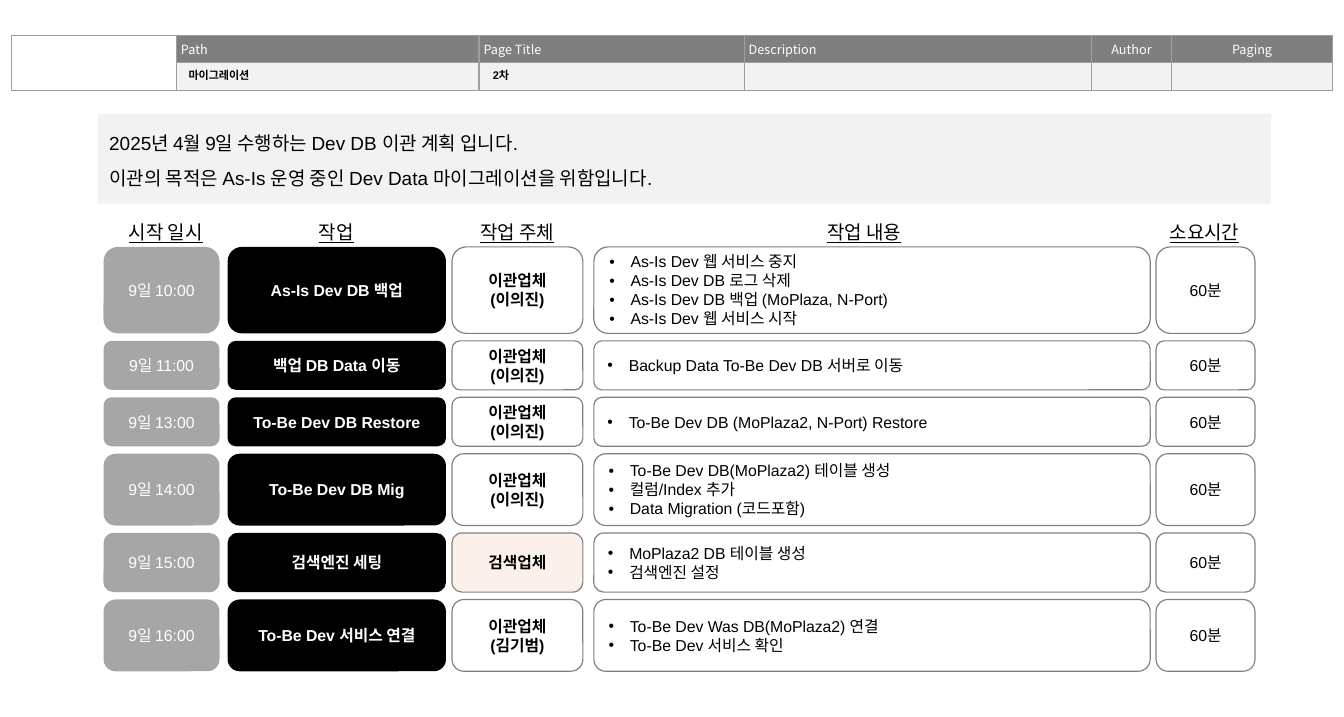
from dataclasses import dataclass

from lxml import etree
from pptx import Presentation
from pptx.dml.color import RGBColor
from pptx.enum.shapes import MSO_SHAPE
from pptx.enum.text import MSO_ANCHOR, MSO_AUTO_SIZE, PP_ALIGN
from pptx.oxml.ns import qn
from pptx.util import Pt

ROUNDED = MSO_SHAPE.ROUNDED_RECTANGLE
TOP, MIDDLE = MSO_ANCHOR.TOP, MSO_ANCHOR.MIDDLE
LEFT, CENTER = PP_ALIGN.LEFT, PP_ALIGN.CENTER
NO_AUTOFIT = MSO_AUTO_SIZE.NONE


@dataclass(frozen=True)
class Theme:
    font: str = "Arial"
    header_font: str = "Noto Sans CJK KR"
    black: str = "000000"
    white: str = "FFFFFF"
    header: str = "7F7F7F"
    panel: str = "F2F2F2"
    time: str = "A6A6A6"
    outline: str = "808080"
    grid: str = "9E9E9E"
    accent: str = "FBE5D6"
    page_size: float = 7
    header_size: float = 8
    cell_size: float = 10
    lead_size: float = 12
    line_width: float = 0.75


THEME = Theme()

HEADER_WIDTHS = [104.4, 191.5, 167.8, 219.6, 51.1, 32.4, 31.7, 37.4]
HEADER_LABELS = ["Path", "Page Title", "Description", "Author", "Paging"]
CENTERED_LABELS = ("Author", "Paging")
INTRO = [
    "2025년 4월 9일 수행하는 Dev DB 이관 계획 입니다.",
    "이관의 목적은 As-Is 운영 중인 Dev Data 마이그레이션을 위함입니다.",
]

HEADINGS = [
    ("시작 일시", 63.4),
    ("작업", 171.4),
    ("작업 주체", 285.8),
    ("작업 내용", 505.4),
    ("소요시간", 720.7),
]
TIME, TASK, OWNER, CONTENT, DURATION = (
    (65.5, 73.4), (144, 138.2), (286, 82.8), (375.8, 352), (731.5, 62.6))
FIRST_ROW_TOP, ROW_GAP = 156.2, 4.7

LEAD_TEAM = ["이관업체", "(이의진)"]
SEARCH_TEAM = ["검색업체"]
SCHEDULE = [
    (54.7, "9일 10:00", "As-Is Dev DB 백업", LEAD_TEAM,
     ["As-Is Dev 웹 서비스 중지", "As-Is Dev DB 로그 삭제",
      "As-Is Dev DB 백업 (MoPlaza, N-Port)", "As-Is Dev 웹 서비스 시작"]),
    (31, "9일 11:00", "백업 DB Data 이동", LEAD_TEAM,
     ["Backup Data To-Be Dev DB 서버로 이동"]),
    (31, "9일 13:00", "To-Be Dev DB Restore", LEAD_TEAM,
     ["To-Be Dev DB (MoPlaza2, N-Port) Restore"]),
    (45.4, "9일 14:00", "To-Be Dev DB Mig", LEAD_TEAM,
     ["To-Be Dev DB(MoPlaza2) 테이블 생성", "컬럼/Index 추가",
      "Data Migration (코드포함)"]),
    (37.4, "9일 15:00", "검색엔진 세팅", SEARCH_TEAM,
     ["MoPlaza2 DB 테이블 생성", "검색엔진 설정"]),
    (45.4, "9일 16:00", "To-Be Dev 서비스 연결", ["이관업체", "(김기범)"],
     ["To-Be Dev Was DB(MoPlaza2) 연결", "To-Be Dev 서비스 확인"]),
]


def rgb(color):
    return RGBColor.from_string(color)


def place(shape, left, top, width, height):
    shape.left, shape.top = Pt(left), Pt(top)
    shape.width, shape.height = Pt(width), Pt(height)


def set_bullet(paragraph, char=None, indent=0):
    props = paragraph._p.get_or_add_pPr()
    props.set("marL", str(Pt(indent)))
    props.set("indent", str(-Pt(indent)))
    if char:
        etree.SubElement(props, qn("a:buFont")).set("typeface", THEME.font)
        etree.SubElement(props, qn("a:buChar")).set("char", char)
    else:
        etree.SubElement(props, qn("a:buNone"))


def style(paragraph, size, color=THEME.black, bold=False, align=LEFT,
          font=THEME.font, underline=False):
    paragraph.alignment = align
    paragraph.font.name = font
    paragraph.font.size = Pt(size)
    paragraph.font.bold = bold
    paragraph.font.underline = underline
    paragraph.font.color.rgb = rgb(color)


def write(frame, lines, size, anchor=TOP, wrap=True, bullet=None, **look):
    frame.auto_size = NO_AUTOFIT
    frame.word_wrap = wrap
    frame.vertical_anchor = anchor
    frame.text = "\n".join(lines)
    for paragraph in frame.paragraphs:
        set_bullet(paragraph, bullet, 13.5 if bullet else 0)
        style(paragraph, size, **look)


def add_label(slide, text, box, size, **look):
    label = slide.shapes.add_textbox(*map(Pt, box))
    write(label.text_frame, [text], size, **look)


def add_card(slide, column, top, height, lines, fill, outlined=False, **look):
    left, width = column
    card = slide.shapes.add_shape(ROUNDED, Pt(left), Pt(top), Pt(width), Pt(height))
    card.shadow.inherit = False
    card.fill.solid()
    card.fill.fore_color.rgb = rgb(fill)
    if outlined:
        color = card.fill._xPr.find(qn("a:solidFill"))[0]
        etree.SubElement(color, qn("a:alpha")).set("val", "50000")
        card.line.color.rgb = rgb(THEME.outline)
        card.line.width = Pt(THEME.line_width)
    else:
        card.line.fill.background()
    write(card.text_frame, lines, THEME.cell_size, MIDDLE, False, **look)


def set_borders(cell, sides):
    props = cell._tc.get_or_add_tcPr()
    for index, side in enumerate("LRTB"):
        line = etree.Element(qn(f"a:ln{side}"), w=str(Pt(THEME.line_width)))
        if side in sides:
            fill = etree.SubElement(line, qn("a:solidFill"))
            etree.SubElement(fill, qn("a:srgbClr")).set("val", THEME.grid)
        else:
            etree.SubElement(line, qn("a:noFill"))
        props.insert(index, line)


def add_page_header(slide):
    frame = slide.shapes.add_table(
        2, len(HEADER_WIDTHS), Pt(7.2), Pt(22.2), Pt(sum(HEADER_WIDTHS)), Pt(34.4))
    table = frame.table
    table.first_row = table.horz_banding = False
    for column, width in zip(table.columns, HEADER_WIDTHS):
        column.width = Pt(width)
    for label, cell in zip(HEADER_LABELS, list(table.rows[0].cells)[1:]):
        cell.text = label
    for row_index, row in enumerate(table.rows):
        row.height = Pt(17.2)
        for index, cell in enumerate(row.cells):
            cell.margin_left = cell.margin_right = Pt(2.9)
            cell.margin_top = cell.margin_bottom = Pt(2.9)
            cell.vertical_anchor = MIDDLE
            if index == 0:
                cell.fill.background()
            else:
                cell.fill.solid()
                cell.fill.fore_color.rgb = rgb((THEME.header, THEME.panel)[row_index])
            paging_sides = {5: "LTB", 6: "TB", 7: "RTB"}
            set_borders(cell, paging_sides.get(index, "LRTB") if row_index else "LRTB")
            style(cell.text_frame.paragraphs[0], THEME.header_size, THEME.white,
                  align=CENTER if cell.text in CENTERED_LABELS else LEFT,
                  font=THEME.header_font)
    table.cell(0, 0).merge(table.cell(1, 0))
    table.cell(0, 5).merge(table.cell(0, 7))
    slide.shapes.title.element.addprevious(frame._element)


def add_titles(slide):
    title, intro = slide.shapes.title, slide.placeholders[1]
    place(title, 304.6, 39.6, 166.3, 15.8)
    write(title.text_frame, ["2차"], THEME.page_size, bold=True)
    add_label(slide, "마이그레이션", (112.3, 39.6, 182.9, 15.8),
              THEME.page_size, bold=True)
    place(intro, 61.9, 72, 742.3, 56.9)
    intro.fill.solid()
    intro.fill.fore_color.rgb = rgb(THEME.panel)
    write(intro.text_frame, INTRO, THEME.lead_size)
    for paragraph in intro.text_frame.paragraphs:
        paragraph.space_before = Pt(0)
        paragraph.line_spacing = Pt(22)


def add_schedule(slide):
    for heading, left in HEADINGS:
        add_label(slide, heading, (left, 136.1, 82.8, 21.6), THEME.lead_size,
                  align=CENTER, underline=True)
    top = FIRST_ROW_TOP
    for height, time, task, owner, steps in SCHEDULE:
        owner_fill = THEME.accent if owner is SEARCH_TEAM else THEME.white
        add_card(slide, TIME, top, height, [time], THEME.time,
                 color=THEME.white, align=CENTER)
        add_card(slide, TASK, top, height, [task], THEME.black,
                 color=THEME.white, bold=True, align=CENTER)
        add_card(slide, OWNER, top, height, owner, owner_fill, True,
                 bold=True, align=CENTER)
        add_card(slide, CONTENT, top, height, steps, THEME.white, True, bullet="•")
        add_card(slide, DURATION, top, height, ["60분"], THEME.white, True,
                 align=CENTER)
        top += height + ROW_GAP


def main():
    deck = Presentation()
    deck.slide_width, deck.slide_height = Pt(850.4), Pt(453.5)
    slide = deck.slides.add_slide(deck.slide_layouts[1])
    add_page_header(slide)
    add_titles(slide)
    add_schedule(slide)
    deck.save("out.pptx")


if __name__ == "__main__":
    main()
